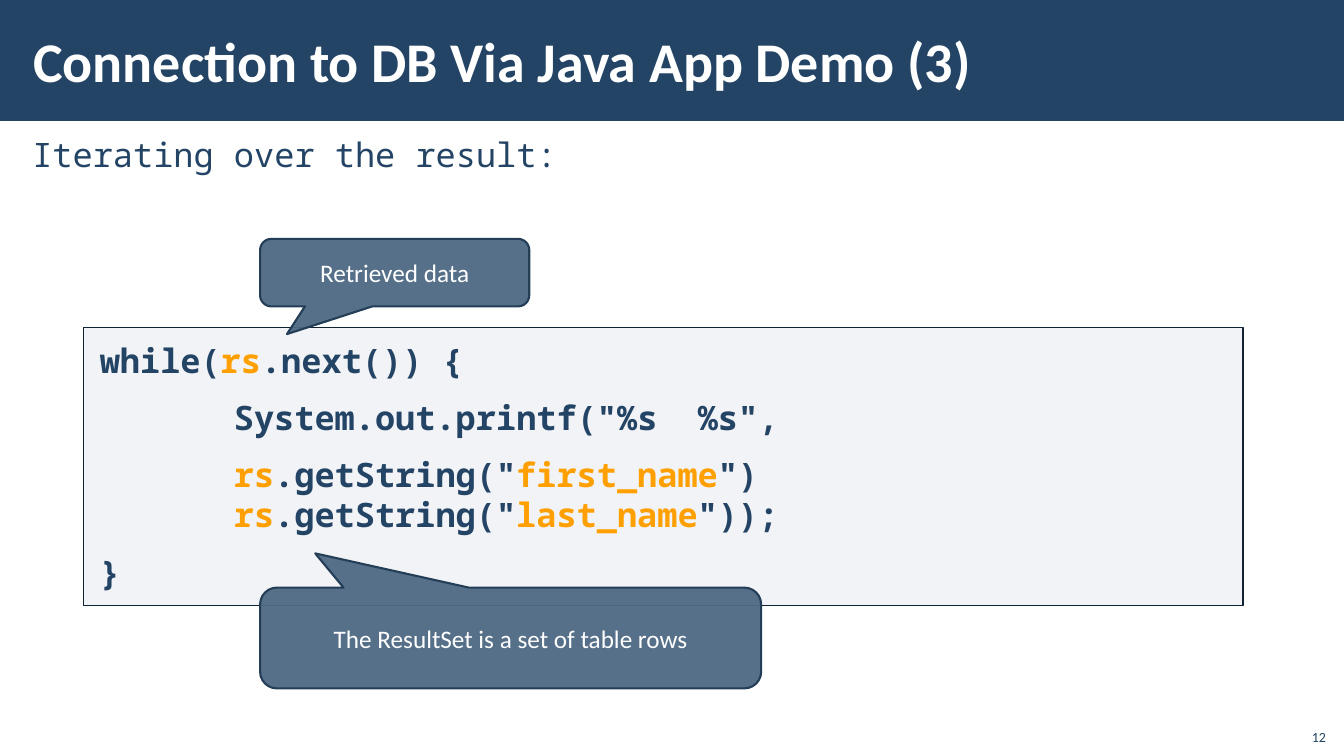
from dataclasses import dataclass

from lxml import etree
from pptx import Presentation
from pptx import util as u
from pptx.dml.color import RGBColor
from pptx.enum import shapes, text
from pptx.oxml.ns import qn

PX = 9144  # EMU per px: 100 px to the inch
ANCHOR = text.MSO_ANCHOR
ALIGN = text.PP_ALIGN
SHAPE = shapes.MSO_SHAPE


@dataclass(frozen=True)
class Theme:
    navy: str = "234465"
    white: str = "FFFFFF"
    orange: str = "FFA000"
    code_fill: str = "ADB4C3"
    code_line: str = "112233"
    callout_fill: str = "4F6984"
    callout_line: str = "253E57"
    sans: str = "Calibri"
    mono: str = "Noto Sans Mono"
    title_pt: int = 40
    code_pt: int = 24
    callout_pt: int = 18
    number_pt: int = 10


T = Theme()


@dataclass(frozen=True)
class Box:
    left: int
    top: int
    width: int
    height: int


@dataclass(frozen=True)
class Style:
    size: int
    font: str = T.sans
    color: str = T.navy
    bold: bool = False
    anchor: ANCHOR = ANCHOR.MIDDLE
    align: ALIGN = ALIGN.LEFT
    inset_x: int = 10
    inset_y: int = 5
    space: int = 0
    line_spacing: float = 1.0


@dataclass(frozen=True)
class Look:
    fill: str
    alpha: int = 100
    line: str = ""
    line_pt: float = 1.0


@dataclass(frozen=True)
class Line:
    """Text between bars alternates plain and highlighted; a newline breaks."""
    marked: str
    indent: int = 0


@dataclass(frozen=True)
class Callout:
    box: Box
    label: str
    tip: tuple[float, float]


TITLE = Style(T.title_pt, color=T.white, bold=True, inset_x=12, inset_y=4)
INTRO = Style(T.code_pt, T.mono, anchor=ANCHOR.TOP, inset_x=13, line_spacing=1.05)
CODE = Style(T.code_pt, T.mono, bold=True, anchor=ANCHOR.TOP,
             inset_x=16, inset_y=12, space=6)
LABEL = Style(T.callout_pt, color=T.white, align=ALIGN.CENTER)
NUMBER = Style(T.number_pt, anchor=ANCHOR.BOTTOM, align=ALIGN.RIGHT)

BAND_LOOK = Look(T.navy)
CODE_LOOK = Look(T.code_fill, 15, T.code_line, 1)
CALLOUT_LOOK = Look(T.callout_fill, 95, T.callout_line, 1.5)

TAB = 133
CODE_LINES = [
    Line("while(|rs|.next()) {"),
    Line('System.out.printf("%s  %s",', TAB),
    Line('|rs|.getString("|first_name|")\n|rs|.getString("|last_name|"));', TAB),
    Line("}"),
]
CALLOUTS = [
    Callout(Box(258, 237, 267, 67), "Retrieved data", (-0.4, 0.91)),
    Callout(Box(258, 583, 497, 100), "The ResultSet is a set of table rows",
            (-0.39, -0.84)),
]


def emu(box: Box) -> list[int]:
    return [n * PX for n in (box.left, box.top, box.width, box.height)]


def write(sp, lines: list[Line], style: Style) -> None:
    tf = sp.text_frame
    tf.word_wrap = True
    tf.vertical_anchor = style.anchor
    tf.margin_left = tf.margin_right = style.inset_x * PX
    tf.margin_top = tf.margin_bottom = style.inset_y * PX
    for i, line in enumerate(lines):
        p = tf.add_paragraph() if i else tf.paragraphs[0]
        p.alignment = style.align
        p.line_spacing = style.line_spacing
        p.space_before = p.space_after = u.Pt(style.space)
        if line.indent:
            p._p.get_or_add_pPr().set("marL", str(line.indent * PX))
        for j, part in enumerate(line.marked.split("|")):
            color = T.orange if j % 2 else style.color
            for k, piece in enumerate(part.split("\n")):
                if k:
                    p.add_line_break()
                if piece:
                    r = p.add_run()
                    r.text = piece
                    r.font.name = style.font
                    r.font.size = u.Pt(style.size)
                    r.font.bold = style.bold
                    r.font.color.rgb = RGBColor.from_string(color)


def add_text(s, box: Box, words: str, style: Style) -> None:
    write(s.shapes.add_textbox(*emu(box)), [Line(words)], style)


def add_panel(s, kind: SHAPE, box: Box, look: Look):
    sp = s.shapes.add_shape(kind, *emu(box))
    sp.shadow.inherit = False
    sp.fill.solid()
    sp.fill.fore_color.rgb = RGBColor.from_string(look.fill)
    if look.alpha < 100:
        clr = sp._element.spPr.find(qn("a:solidFill")).find(qn("a:srgbClr"))
        etree.SubElement(clr, qn("a:alpha")).set("val", str(look.alpha * 1000))
    if look.line:
        sp.line.color.rgb = RGBColor.from_string(look.line)
        sp.line.width = u.Pt(look.line_pt)
    else:
        sp.line.fill.background()
    return sp


def add_callout(s, callout: Callout) -> None:
    sp = add_panel(s, SHAPE.ROUNDED_RECTANGULAR_CALLOUT, callout.box, CALLOUT_LOOK)
    sp.adjustments[0], sp.adjustments[1] = callout.tip
    write(sp, [Line(callout.label)], LABEL)


def main() -> None:
    prs = Presentation()
    prs.slide_width, prs.slide_height = 1333 * PX, 750 * PX
    s = prs.slides.add_slide(prs.slide_layouts[6])

    # Title band and introduction
    add_panel(s, SHAPE.RECTANGLE, Box(0, 0, 1333, 120), BAND_LOOK)
    add_text(s, Box(21, 11, 1063, 97), "Connection to DB Via Java App Demo (3)", TITLE)
    add_text(s, Box(19, 126, 1291, 609), "Iterating over the result:", INTRO)

    # Code panel
    panel = add_panel(s, SHAPE.RECTANGLE, Box(83, 325, 1150, 276), CODE_LOOK)
    write(panel, CODE_LINES, CODE)

    # Callouts
    for callout in CALLOUTS:
        add_callout(s, callout)

    # Slide number
    add_text(s, Box(1285, 712, 40, 32), "12", NUMBER)

    prs.save("out.pptx")


if __name__ == "__main__":
    main()
